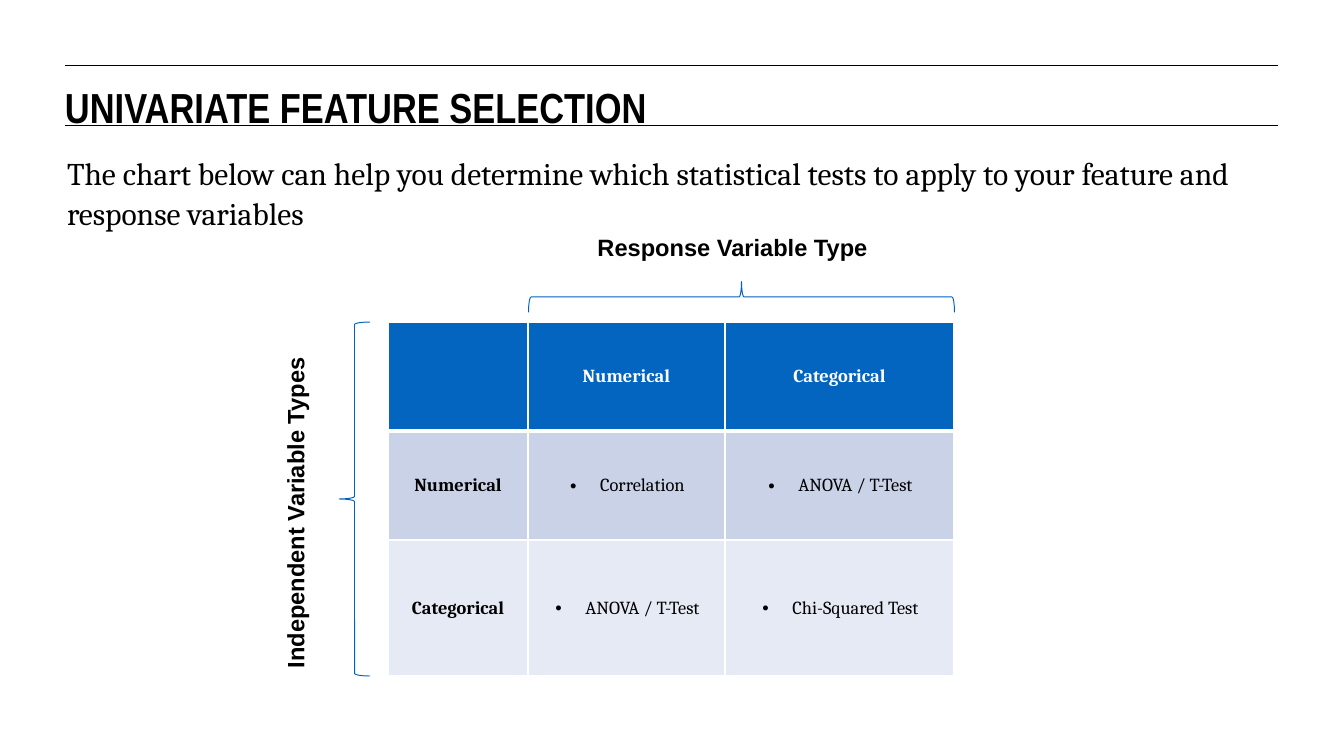
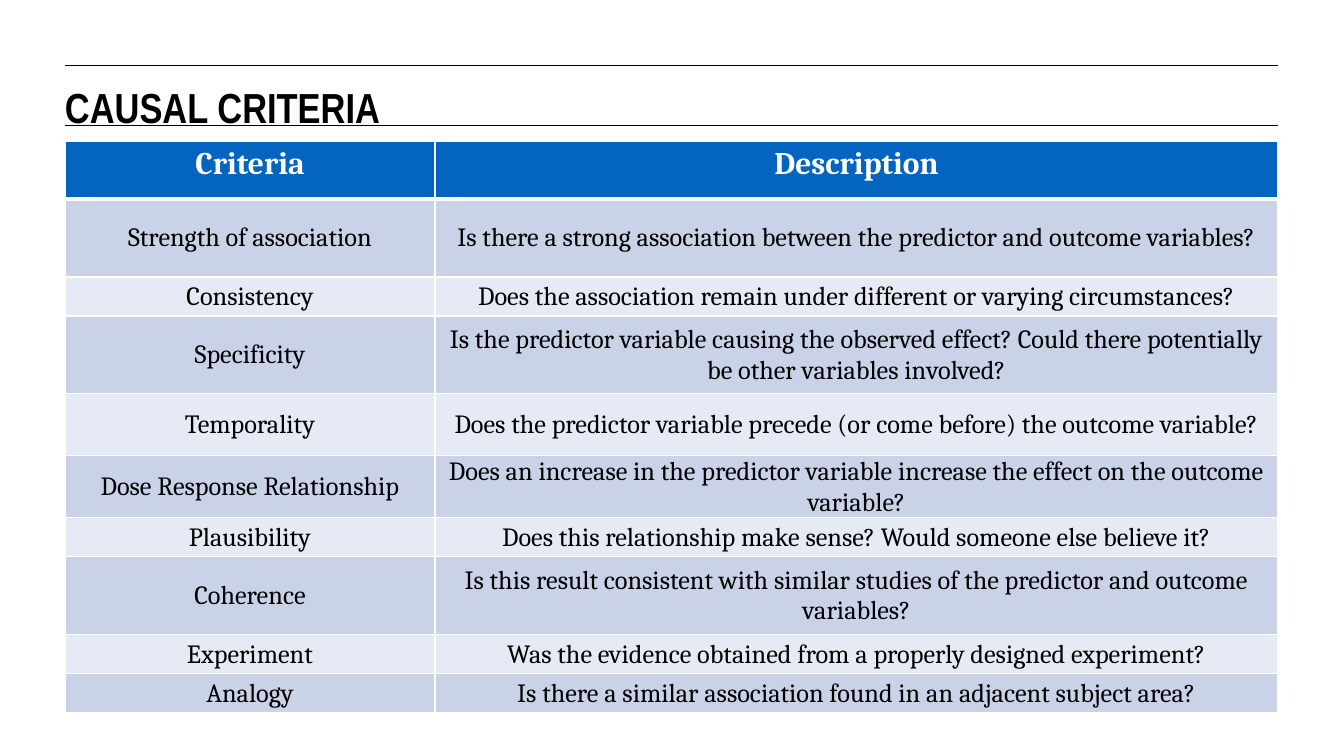
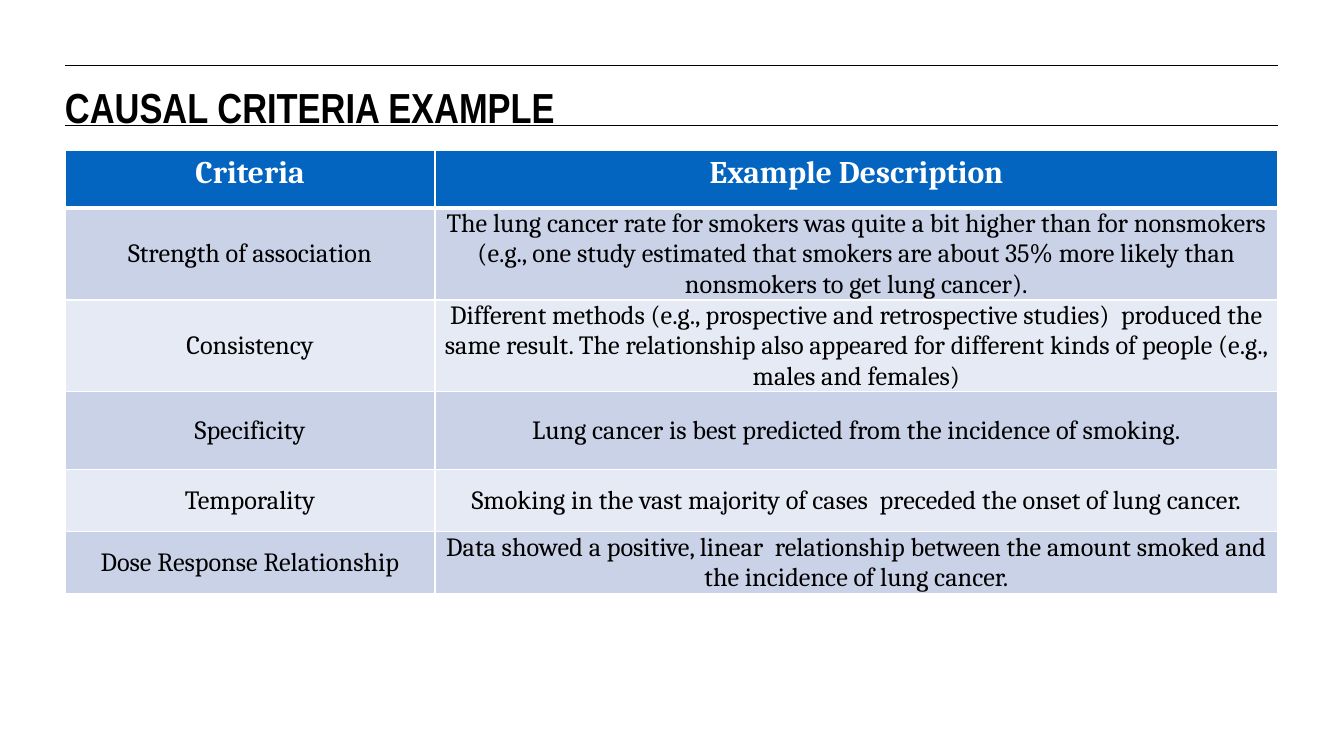
from lxml import etree
from pptx import Presentation
from pptx.dml.color import RGBColor
from pptx.enum.shapes import MSO_CONNECTOR, MSO_SHAPE
from pptx.enum.text import MSO_ANCHOR, MSO_AUTO_SIZE, PP_ALIGN
from pptx.oxml.ns import qn
from pptx.util import Emu, Pt

EMU_PER_PX = 9676
SLIDE_WIDTH, SLIDE_HEIGHT = 1344, 755
LEFT, RIGHT = 65, 1278
RULE_TOPS = (65, 126)
CRITERIA_COLUMNS = (370, 843)

BLACK, WHITE = "000000", "FFFFFF"
HEADER_BLUE, BRACE_BLUE = "0365C0", "0062BF"
BANDS = ("CAD2E8", "E6EAF4")
TITLE_FONT, LABEL_FONT, BODY_FONT = "Arial Narrow", "Arial", "Cambria"

TEST_ROWS = [
    ("", "Numerical", "Categorical"),
    ("Numerical", "Correlation", "ANOVA / T-Test"),
    ("Categorical", "ANOVA / T-Test", "Chi-Squared Test"),
]
CRITERIA_ROWS = [
    ("Criteria", "Description"),
    ("Strength of association",
     "Is there a strong association between the predictor and outcome variables?"),
    ("Consistency",
     "Does the association remain under different or varying circumstances?"),
    ("Specificity",
     "Is the predictor variable causing the observed effect? "
     "Could there potentially be other variables involved?"),
    ("Temporality",
     "Does the predictor variable precede (or come before) the outcome variable?"),
    ("Dose Response Relationship",
     "Does an increase in the predictor variable increase the effect on the outcome variable?"),
    ("Plausibility",
     "Does this relationship make sense? Would someone else believe it?"),
    ("Coherence",
     "Is this result consistent with similar studies of the predictor and outcome variables?"),
    ("Experiment",
     "Was the evidence obtained from a properly designed experiment?"),
    ("Analogy",
     "Is there a similar association found in an adjacent subject area?"),
]
EXAMPLE_ROWS = [
    ("Criteria", "Example Description"),
    ("Strength of association",
     "The lung cancer rate for smokers was quite a bit higher than for nonsmokers "
     "(e.g., one study estimated that smokers are about 35% more likely than "
     "nonsmokers to get lung cancer)."),
    ("Consistency",
     "Different methods (e.g., prospective and retrospective studies)  produced the "
     "same result. The relationship also appeared for different kinds of people "
     "(e.g., males and females)"),
    ("Specificity",
     "Lung cancer is best predicted from the incidence of smoking."),
    ("Temporality",
     "Smoking in the vast majority of cases  preceded the onset of lung cancer."),
    ("Dose Response Relationship",
     "Data showed a positive, linear  relationship between the amount smoked and "
     "the incidence of lung cancer."),
]


def px(length):
    """Turn pixels into EMU."""
    return Emu(length * EMU_PER_PX)


def rgb(color):
    """Turn a hex string into a colour."""
    return RGBColor.from_string(color)


def format_paragraph(paragraph, font_name, size, color=BLACK, bold=False, align=PP_ALIGN.CENTER):
    """Set the alignment and font of a paragraph."""
    paragraph.alignment = align
    font = paragraph.font
    font.name, font.size, font.bold = font_name, Pt(size), bold
    font.color.rgb = rgb(color)


def set_margins(target, horizontal, top, bottom):
    """Set the inner margins of a cell or text frame."""
    target.margin_left = target.margin_right = px(horizontal)
    target.margin_top, target.margin_bottom = px(top), px(bottom)


def add_rule(slide, top):
    """Draw a thin black line across the slide."""
    rule = slide.shapes.add_connector(
        MSO_CONNECTOR.STRAIGHT, px(LEFT), px(top), px(RIGHT), px(top))
    rule.line.color.rgb = rgb(BLACK)
    rule.line.width = Pt(0.75)
    etree.SubElement(rule.element.spPr, qn("a:effectLst"))
    return rule


def add_titled_slide(presentation, layout, title):
    """Add a slide with its formatted title."""
    slide = presentation.slides.add_slide(layout)
    shape = slide.shapes.title
    shape.left, shape.top = px(LEFT), px(77)
    shape.width, shape.height = px(RIGHT - LEFT), px(44)
    frame = shape.text_frame
    frame.text = title
    frame.auto_size = MSO_AUTO_SIZE.NONE
    frame.vertical_anchor = MSO_ANCHOR.TOP
    set_margins(frame, 0, 4, 0)
    format_paragraph(frame.paragraphs[0], TITLE_FONT, 32, bold=True, align=PP_ALIGN.LEFT)
    return slide


def add_text(slide, text, left, top, width, height):
    """Add a wrapped text box and return it."""
    box = slide.shapes.add_textbox(px(left), px(top), px(width), px(height))
    box.text_frame.word_wrap = True
    box.text_frame.text = text
    return box


def add_intro(slide, text):
    """Add the body text under the title."""
    frame = add_text(slide, text, LEFT + 2, 149, RIGHT - LEFT, 55).text_frame
    set_margins(frame, 0, 3, 0)
    paragraph = frame.paragraphs[0]
    paragraph.line_spacing = 1.05
    format_paragraph(paragraph, BODY_FONT, 24, align=PP_ALIGN.LEFT)


def add_axis_label(slide, text, left, top, width, rotation=0):
    """Add a bold label for one side of the table."""
    box = add_text(slide, text, left, top, width, 38)
    box.rotation = rotation
    format_paragraph(box.text_frame.paragraphs[0], LABEL_FONT, 18, bold=True)


def add_brace(slide, left, top, height, rotation=0):
    """Add a thin brace."""
    brace = slide.shapes.add_shape(
        MSO_SHAPE.LEFT_BRACE, px(left), px(top), px(31), px(height))
    brace.rotation = rotation
    brace.shadow.inherit = False
    brace.fill.background()
    brace.line.color.rgb = rgb(BRACE_BLUE)
    brace.line.width = Pt(0.75)


def add_bullet(paragraph):
    """Give a paragraph a black bullet with a hanging indent."""
    properties = paragraph._p.get_or_add_pPr()
    properties.set("marL", str(px(32)))
    properties.set("indent", str(px(-30)))
    bullet_color = etree.SubElement(properties, qn("a:buClr"))
    etree.SubElement(bullet_color, qn("a:srgbClr"), val=BLACK)
    etree.SubElement(properties, qn("a:buFont"), typeface="Arial")
    etree.SubElement(properties, qn("a:buChar"), char="•")


def set_borders(cell, top, bottom):
    """Give a cell white borders, 1 pt wide at the sides."""
    properties = cell._tc.get_or_add_tcPr()
    widths = {"a:lnL": 1, "a:lnR": 1, "a:lnT": top, "a:lnB": bottom}
    for position, (tag, width) in enumerate(widths.items()):
        border = etree.Element(qn(tag), w=str(Pt(width)))
        fill = etree.SubElement(border, qn("a:solidFill"))
        etree.SubElement(fill, qn("a:srgbClr"), val=WHITE)
        properties.insert(position, border)


def fill_cell(cell, text, fill, size, color, bold, bulleted):
    """Write and format the text of a cell and colour the cell."""
    cell.fill.solid()
    cell.fill.fore_color.rgb = rgb(fill)
    cell.text = text
    paragraph = cell.text_frame.paragraphs[0]
    if bulleted:
        add_bullet(paragraph)
    format_paragraph(paragraph, BODY_FONT, size, color, bold)


def add_banded_table(slide, left, top, widths, heights, rows, header_size, body_size,
                     header_anchor=MSO_ANCHOR.TOP, is_matrix=False):
    """Add a table with a blue header; a matrix has bold row labels and bullets."""
    table = slide.shapes.add_table(
        len(rows), len(widths), px(left), px(top), px(sum(widths)), px(sum(heights))).table
    for column, width in zip(table.columns, widths):
        column.width = px(width)
    for row, height in zip(table.rows, heights):
        row.height = px(height)
    for row_index, texts in enumerate(rows):
        for column_index, text in enumerate(texts):
            cell = table.cell(row_index, column_index)
            if row_index == 0:
                fill_cell(cell, text, HEADER_BLUE, header_size, WHITE, True, False)
                set_margins(cell, 9, 5, 5)
                cell.vertical_anchor = header_anchor
            else:
                is_label = is_matrix and column_index == 0
                fill_cell(cell, text, BANDS[(row_index - 1) % 2], body_size, BLACK,
                          is_label, is_matrix and not is_label)
                set_margins(cell, 1, 1, 0)
                cell.vertical_anchor = MSO_ANCHOR.MIDDLE
            set_borders(cell, 3 if row_index == 1 else 1, 3 if row_index == 0 else 1)


def add_selection_matrix(slide):
    """Add the table of statistical tests with its braces and labels."""
    left, top = 388, 322
    widths, heights = (140, 197, 229), (109, 109, 136)
    add_banded_table(slide, left, top, widths, heights, TEST_ROWS, 14, 14,
                     header_anchor=MSO_ANCHOR.MIDDLE, is_matrix=True)
    add_brace(slide, 339, top, sum(heights))
    add_axis_label(slide, "Independent Variable Types", 101, 494, 388, rotation=270)
    add_brace(slide, 726, 84, sum(widths[1:]), rotation=90)
    add_axis_label(slide, "Response Variable Type", 520, 228, 425)


def main():
    """Build and save the presentation."""
    presentation = Presentation()
    presentation.slide_width, presentation.slide_height = px(SLIDE_WIDTH), px(SLIDE_HEIGHT)
    layout = presentation.slide_layouts[5]

    selection = add_titled_slide(presentation, layout, "UNIVARIATE FEATURE SELECTION")
    for top in RULE_TOPS:
        layout.shapes.element.append(add_rule(selection, top).element)
    add_selection_matrix(selection)
    add_intro(selection, "The chart below can help you determine which statistical tests "
                         "to apply to your feature and response variables")

    criteria = add_titled_slide(presentation, layout, "CAUSAL CRITERIA")
    add_banded_table(criteria, LEFT, 141, CRITERIA_COLUMNS,
                     (58, 78, 39, 78, 62, 62, 39, 78, 39, 39), CRITERIA_ROWS, 24, 20)

    example = add_titled_slide(presentation, layout, "CAUSAL CRITERIA EXAMPLE")
    add_banded_table(example, LEFT, 150, CRITERIA_COLUMNS,
                     (58, 92, 92, 78, 62, 62), EXAMPLE_ROWS, 24, 20)

    presentation.save("out.pptx")


if __name__ == "__main__":
    main()
